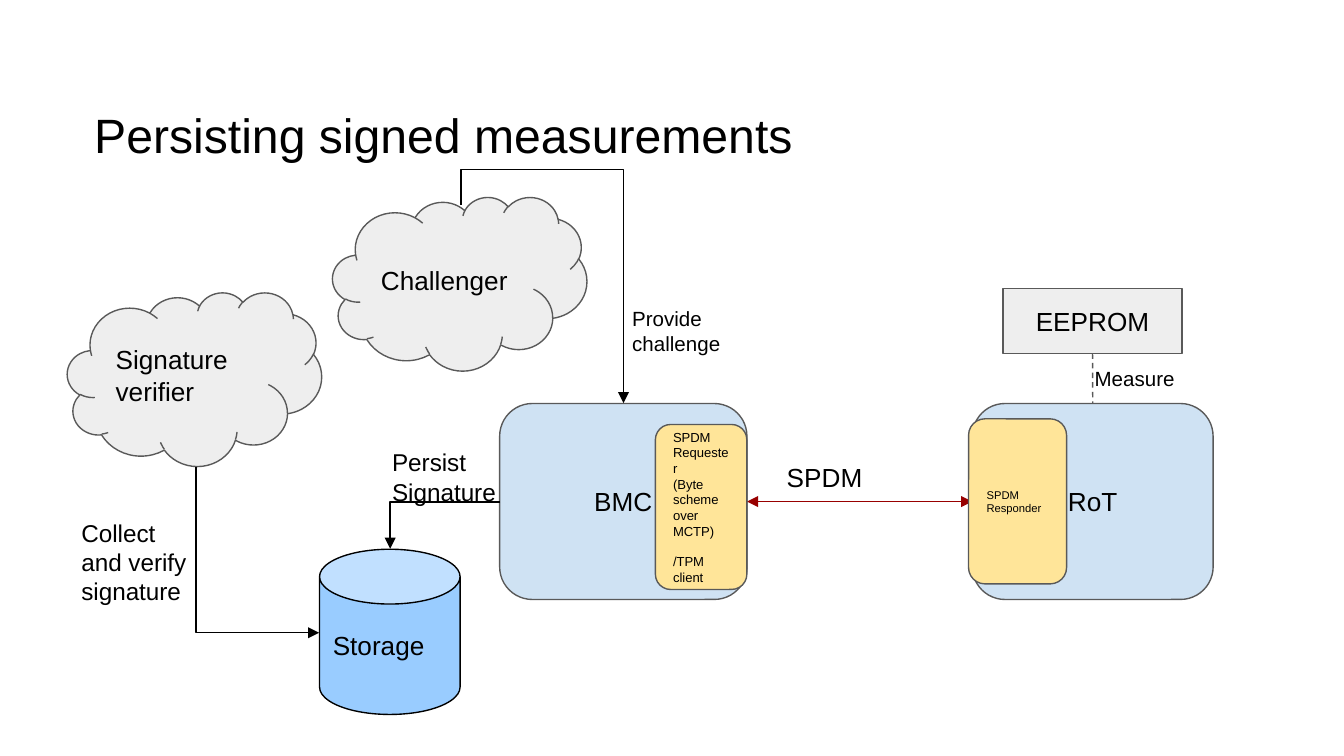
from lxml import etree
from pptx import Presentation
from pptx.dml.color import RGBColor
from pptx.enum.dml import MSO_LINE
from pptx.enum.shapes import MSO_CONNECTOR, MSO_SHAPE as SHAPE
from pptx.enum.text import MSO_ANCHOR, PP_ALIGN
from pptx.oxml.ns import qn
from pptx.util import Pt

BLACK = RGBColor(0x00, 0x00, 0x00)
OUTLINE = RGBColor(0x59, 0x59, 0x59)
GRAY = RGBColor(0xEE, 0xEE, 0xEE)
PALE_BLUE = RGBColor(0xCF, 0xE2, 0xF3)
YELLOW = RGBColor(0xFF, 0xE5, 0x99)
BLUE = RGBColor(0x99, 0xCC, 0xFF)
DARK_RED = RGBColor(0x98, 0x00, 0x00)

FONT = "Arial"
INSET = 7.2
LINE_WIDTH = 0.75
BOTTOM, LEFT, TOP, RIGHT = 2, 1, 0, 3
CENTER = PP_ALIGN.CENTER
START = PP_ALIGN.LEFT

# shape, box (left, top, width, height), fill, outline, paragraphs, size, alignment
CLOUD_SIZE = (136.2, 93)
DEVICES = {
    "bmc": (SHAPE.ROUNDED_RECTANGLE, (267.7, 216.2, 132.5, 105), PALE_BLUE, OUTLINE,
            ["BMC"], 14, CENTER),
    "rot": (SHAPE.ROUNDED_RECTANGLE, (520.9, 216.2, 129, 105), PALE_BLUE, OUTLINE,
            ["RoT"], 14, CENTER),
    "eeprom": (SHAPE.RECTANGLE, (537.3, 154.7, 96, 34.6), GRAY, OUTLINE,
               ["EEPROM"], 14, CENTER),
}
PARTS = {
    "verifier": (SHAPE.CLOUD, (36.1, 156.6, *CLOUD_SIZE), GRAY, OUTLINE,
                 ["Signature verifier"], 14, START),
    "challenger": (SHAPE.CLOUD, (178.2, 105.5, *CLOUD_SIZE), GRAY, OUTLINE,
                   ["Challenger"], 14, START),
    "requester": (SHAPE.ROUNDED_RECTANGLE, (351.1, 227.4, 49, 88.4), YELLOW, OUTLINE,
                  ["SPDM", "Requester", "(Byte scheme over MCTP)", "/TPM client"], 7, START),
    "responder": (SHAPE.ROUNDED_RECTANGLE, (518.9, 224.4, 52.5, 88.4), YELLOW, OUTLINE,
                  ["SPDM", "Responder"], 6, START),
    "storage": (SHAPE.CAN, (171.2, 294.3, 75.3, 88.5), BLUE, BLACK,
                ["Storage"], 14, START),
}
# box, paragraphs, size
TITLE = ((43.4, 55.4, 624, 43.2), ["Persisting signed measurements"], 25.8)
LABELS = [
    ((579.3, 189.5, 70.6, 26), ["Measure"], 11),
    ((414.4, 240, 83.5, 30.2), ["SPDM"], 14),
    ((203, 232.6, 70.6, 44), ["Persist", "Signature"], 13),
    ((36.5, 270.5, 70.6, 74), ["Collect and verify signature"], 13),
    ((331.6, 156.7, 94.5, 38), ["Provide challenge"], 11),
]
ROUTES = [
    [(267.7, 268.7), (208.8, 268.7), (208.8, 294.3)],
    [(104.6, 249.6), (104.6, 338.6), (171.2, 338.6)],
    [(246.6, 110.5), (246.6, 90.9), (333.9, 90.9), (333.9, 216.2)],
]


def write(shape, paragraphs, size, align=START, anchor=MSO_ANCHOR.TOP):
    frame = shape.text_frame
    frame.word_wrap = True
    frame.vertical_anchor = anchor
    frame.margin_left = frame.margin_right = Pt(INSET)
    frame.margin_top = frame.margin_bottom = Pt(INSET)
    frame.text = "\n".join(paragraphs)
    for paragraph in frame.paragraphs:
        paragraph.alignment = align
        paragraph.font.name = FONT
        paragraph.font.size = Pt(size)
        paragraph.font.color.rgb = BLACK
    return frame


def add_node(kind, box, fill, outline, paragraphs, size, align):
    node = slide.shapes.add_shape(kind, *map(Pt, box))
    node.shadow.inherit = False
    node.fill.solid()
    node.fill.fore_color.rgb = fill
    node.line.color.rgb = outline
    node.line.width = Pt(LINE_WIDTH)
    write(node, paragraphs, size, align, MSO_ANCHOR.MIDDLE)
    return node


def add_label(box, paragraphs, size):
    return write(slide.shapes.add_textbox(*map(Pt, box)), paragraphs, size)


def style_line(line, color, *arrow_ends):
    """Arrow ends are headEnd and tailEnd, in that order."""
    line.color.rgb = color
    line.width = Pt(LINE_WIDTH)
    for end in arrow_ends:
        etree.SubElement(line._get_or_add_ln(), qn("a:" + end), type="triangle")


def join(start, start_side, finish, finish_side):
    link = slide.shapes.add_connector(MSO_CONNECTOR.STRAIGHT, 0, 0, 0, 0)
    link.begin_connect(start, start_side)
    link.end_connect(finish, finish_side)
    etree.SubElement(link._element.spPr, qn("a:effectLst"))
    return link


def add_route(points):
    start, *rest = points
    builder = slide.shapes.build_freeform(*start, scale=Pt(1))
    builder.add_line_segments(rest, close=False)
    route = builder.convert_to_shape()
    route.shadow.inherit = False
    route.fill.background()
    style_line(route.line, BLACK, "tailEnd")


deck = Presentation()
deck.slide_width, deck.slide_height = Pt(720), Pt(405)
slide = deck.slides.add_slide(deck.slide_layouts[6])

add_label(*TITLE).paragraphs[0].line_spacing = 0.8

devices = {name: add_node(*device) for name, device in DEVICES.items()}
spdm = join(devices["bmc"], RIGHT, devices["rot"], LEFT)
style_line(spdm.line, DARK_RED, "headEnd", "tailEnd")
measure = join(devices["eeprom"], BOTTOM, devices["rot"], TOP)
style_line(measure.line, OUTLINE)
measure.line.dash_style = MSO_LINE.DASH

parts = {name: add_node(*part) for name, part in PARTS.items()}
parts["storage"].adjustments[0] = 0.39
parts["requester"].text_frame.paragraphs[-1].space_before = Pt(8)

for label in LABELS:
    add_label(*label)
for route in ROUTES:
    add_route(route)

deck.save("out.pptx")
